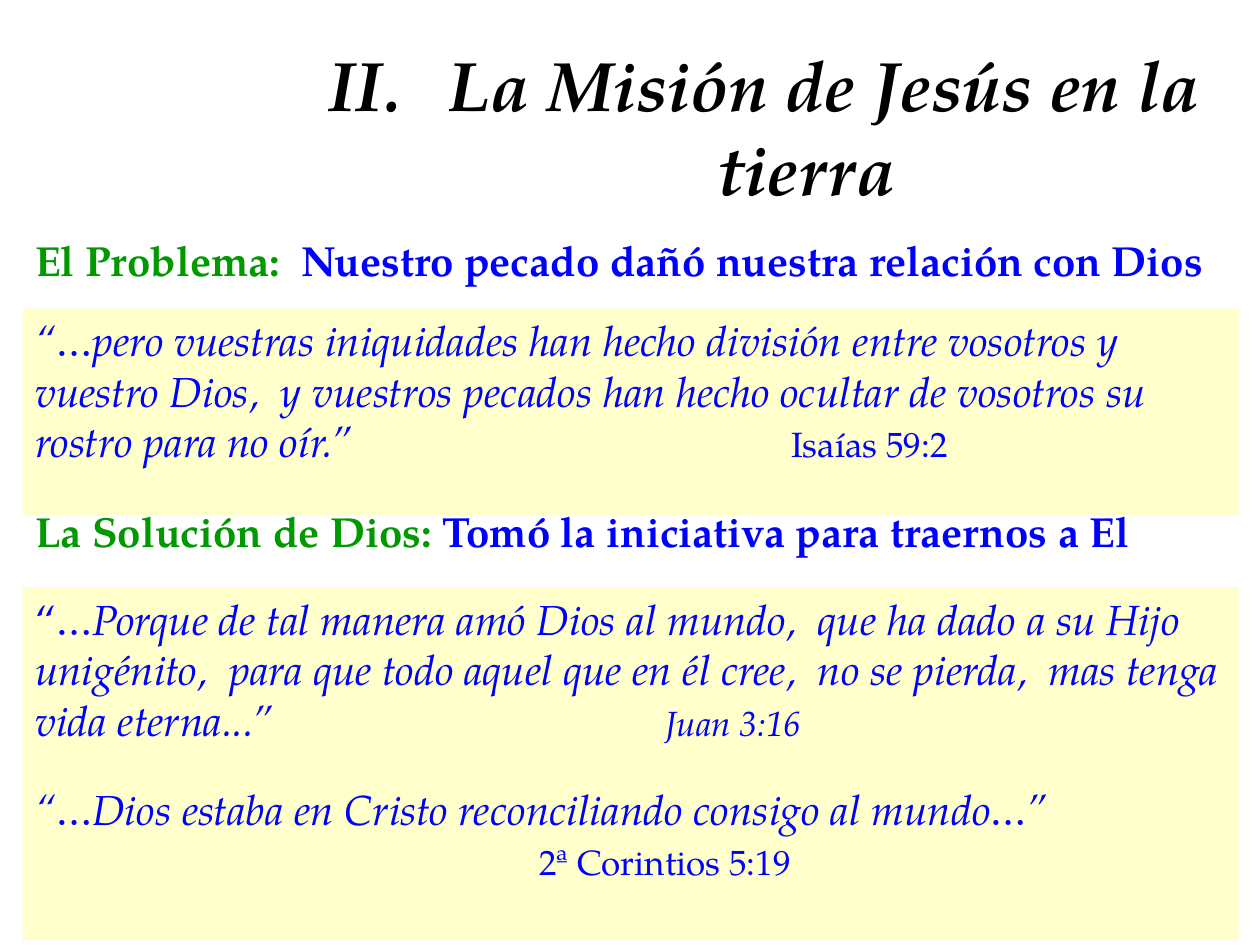
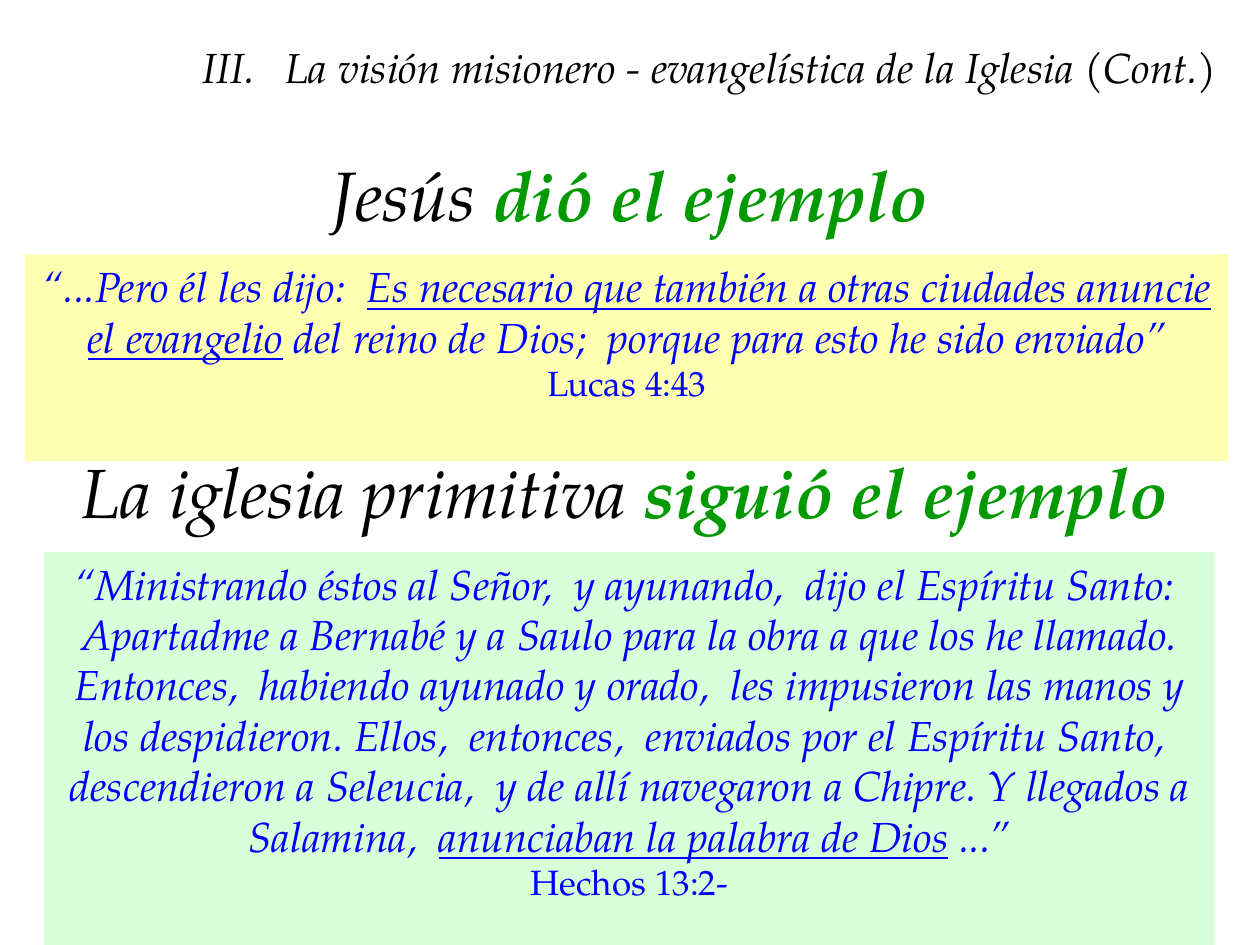
from dataclasses import dataclass

from lxml.etree import SubElement
from pptx import Presentation
from pptx.dml.color import RGBColor
from pptx.enum.shapes import MSO_SHAPE
from pptx.enum.text import MSO_ANCHOR, MSO_AUTO_SIZE, PP_ALIGN
from pptx.oxml.ns import qn
from pptx.util import Inches, Pt


@dataclass(frozen=True)
class Theme:
    font: str = "TeX Gyre Pagella"
    black: str = "000000"
    green: str = "009900"
    blue: str = "0000FF"
    yellow: str = "FFFF99"
    mint: str = "CCFFCC"
    display: int = 40
    body: int = 24
    citation: int = 20


THEME = Theme()

# Run styles: colour, size and font attributes
STYLES = {
    "main title": (THEME.black, THEME.display, {"bold": True, "italic": True}),
    "small title": (THEME.black, THEME.body, {"italic": True}),
    "label": (THEME.green, THEME.body, {"bold": True}),
    "statement": (THEME.blue, THEME.body, {"bold": True}),
    "subject": (THEME.black, THEME.display, {"italic": True}),
    "action": (THEME.green, THEME.display, {"bold": True, "italic": True}),
    "opening": (THEME.blue, THEME.body, {}),
    "verse": (THEME.blue, THEME.body, {"italic": True}),
    "stressed": (THEME.blue, THEME.body, {"italic": True, "underline": True}),
    "citation": (THEME.blue, THEME.citation, {"italic": False}),
    "italic citation": (THEME.blue, THEME.citation, {"italic": True}),
}


def add_runs(paragraph, runs):
    for text, style in runs:
        colour, size, attributes = STYLES[style]
        run = paragraph.add_run()
        run.text = text
        values = {"name": THEME.font, "size": Pt(size), **attributes}
        for name, value in values.items():
            setattr(run.font, name, value)
        run.font.color.rgb = RGBColor.from_string(colour)


def set_indent(paragraph, left, first=0.0):
    properties = paragraph._p.get_or_add_pPr()
    properties.set("marL", str(Inches(left)))
    properties.set("indent", str(Inches(first)))
    return properties


def add_tab_stop(paragraph, position):
    tabs = SubElement(paragraph._p.get_or_add_pPr(), qn("a:tabLst"))
    SubElement(tabs, qn("a:tab"), pos=str(Inches(position)), algn="l")


def fill_text(frame, paragraphs, alignment):
    """Each paragraph is (runs, layout); layout may hold before, left and tab."""
    frame.word_wrap = True
    frame.auto_size = MSO_AUTO_SIZE.NONE
    frame.vertical_anchor = MSO_ANCHOR.TOP
    for index, (runs, layout) in enumerate(paragraphs):
        paragraph = frame.add_paragraph() if index else frame.paragraphs[0]
        paragraph.alignment = alignment
        if "before" in layout:
            paragraph.space_before = Pt(layout["before"])
        if "left" in layout:
            set_indent(paragraph, layout["left"])
        if "tab" in layout:
            add_tab_stop(paragraph, layout["tab"])
        add_runs(paragraph, runs)


def add_numbered_title(slide, box, number, hanging, text, style):
    """Title with a Roman numeral in front."""
    title = slide.shapes.title
    title.left, title.top, title.width, title.height = map(Inches, box)
    fill_text(title.text_frame, [([(text, style)], {})], PP_ALIGN.CENTER)
    properties = set_indent(title.text_frame.paragraphs[0], hanging, -hanging)
    colour = SubElement(properties, qn("a:buClr"))
    SubElement(colour, qn("a:srgbClr"), val=THEME.black)
    SubElement(properties, qn("a:buAutoNum"),
               type="romanUcPeriod", startAt=str(number))


def add_heading(slide, box, runs, alignment):
    textbox = slide.shapes.add_textbox(*map(Inches, box))
    fill_text(textbox.text_frame, [(runs, {})], alignment)


def add_quote(slide, box, colour, opacity, paragraphs, alignment):
    """Translucent panel holding a Bible verse and its citation."""
    panel = slide.shapes.add_shape(MSO_SHAPE.RECTANGLE, *map(Inches, box))
    panel.shadow.inherit = False
    panel.line.fill.background()
    panel.fill.solid()
    panel.fill.fore_color.rgb = RGBColor.from_string(colour)
    colour_element = panel._element.spPr.find(".//" + qn("a:srgbClr"))
    SubElement(colour_element, qn("a:alpha"), val=str(opacity * 1000))
    fill_text(panel.text_frame, paragraphs, alignment)


def build_mission_slide(slide):
    left, width, align = 0.18, 9.65, PP_ALIGN.LEFT
    add_numbered_title(slide, (2.48, 0.28, 7.17, 1.44), 2, 0.67,
                       "  La Misión de Jesús en la tierra", "main title")

    # Problem and solution
    sections = [
        (1.81, "El Problema:", "  Nuestro pecado dañó nuestra relación con Dios"),
        (3.96, "La Solución de Dios:", " Tomó la iniciativa para traernos a El"),
    ]
    for top, label, statement in sections:
        add_heading(slide, (left, top, width, 0.9),
                    [(label, "label"), (statement, "statement")], align)

    # Verses
    isaiah = [
        ([("“…pero vuestras iniquidades han hecho división entre vosotros y "
           "vuestro Dios,  y vuestros pecados han hecho ocultar de vosotros su "
           "rostro para no oír.”\t", "verse"),
          ("Isaías 59:2", "citation")], {"tab": 6}),
    ]
    john_and_corinthians = [
        ([("“…", "opening"),
          ("Porque de tal manera amó Dios al mundo,  que ha dado a su Hijo "
           "unigénito,  para que todo aquel que en él cree,  no se pierda,  mas "
           "tenga vida eterna...”\t", "verse"),
          ("Juan 3:16", "italic citation")], {"tab": 5}),
        ([("“…Dios estaba en Cristo reconciliando consigo al mundo…”", "verse")],
         {"before": 22}),
        ([("2ª Corintios 5:19", "citation")], {"before": 4, "left": 4}),
    ]
    for top, height, verses in ((2.45, 1.64, isaiah),
                                (4.66, 2.8, john_and_corinthians)):
        add_quote(slide, (left, top, width, height), THEME.yellow, 50, verses, align)


def build_example_slide(slide):
    align = PP_ALIGN.CENTER
    add_numbered_title(
        slide, (1.46, 0.28, 8.35, 0.9), 3, 0.49,
        "  La visión misionero - evangelística de la Iglesia (Cont.)", "small title")

    # Who gave and who followed the example
    headings = [
        ((2.48, 1.15, 5.04, 1.44), "Jesús ", "dió el ejemplo"),
        ((0.43, 3.51, 9.06, 1.44), "La iglesia primitiva ", "siguió el ejemplo"),
    ]
    for box, subject, action in headings:
        add_heading(slide, box, [(subject, "subject"), (action, "action")], align)

    # Verses
    luke = [
        ([("“...Pero él les dijo:  ", "verse"),
          ("Es necesario que también a otras ciudades anuncie el evangelio",
           "stressed"),
          (" del reino de Dios;  porque para esto he sido enviado”", "verse")], {}),
        ([("Lucas 4:43", "citation")], {}),
    ]
    acts = [
        ([("“Ministrando éstos al Señor,  y ayunando,  dijo el Espíritu Santo:  "
           "Apartadme a Bernabé y a Saulo para la obra a que los he llamado. "
           "Entonces,  habiendo ayunado y orado,  les impusieron las manos y los "
           "despidieron. Ellos,  entonces,  enviados por el Espíritu Santo,  "
           "descendieron a Seleucia,  y de allí navegaron a Chipre. Y llegados a "
           "Salamina,  ", "verse"),
          ("anunciaban la palabra de Dios", "stressed"),
          (" ...”", "verse")], {}),
        ([("Hechos 13:2-", "citation")], {}),
    ]
    for box, colour, verses in (((0.2, 2.02, 9.55, 1.64), THEME.yellow, luke),
                                ((0.35, 4.38, 9.29, 3.12), THEME.mint, acts)):
        add_quote(slide, box, colour, 75, verses, align)


def main():
    presentation = Presentation()
    presentation.slide_width = Inches(10)
    presentation.slide_height = Inches(7.5)
    title_only = presentation.slide_layouts[5]
    for build in (build_mission_slide, build_example_slide):
        build(presentation.slides.add_slide(title_only))
    presentation.save("out.pptx")


if __name__ == "__main__":
    main()
